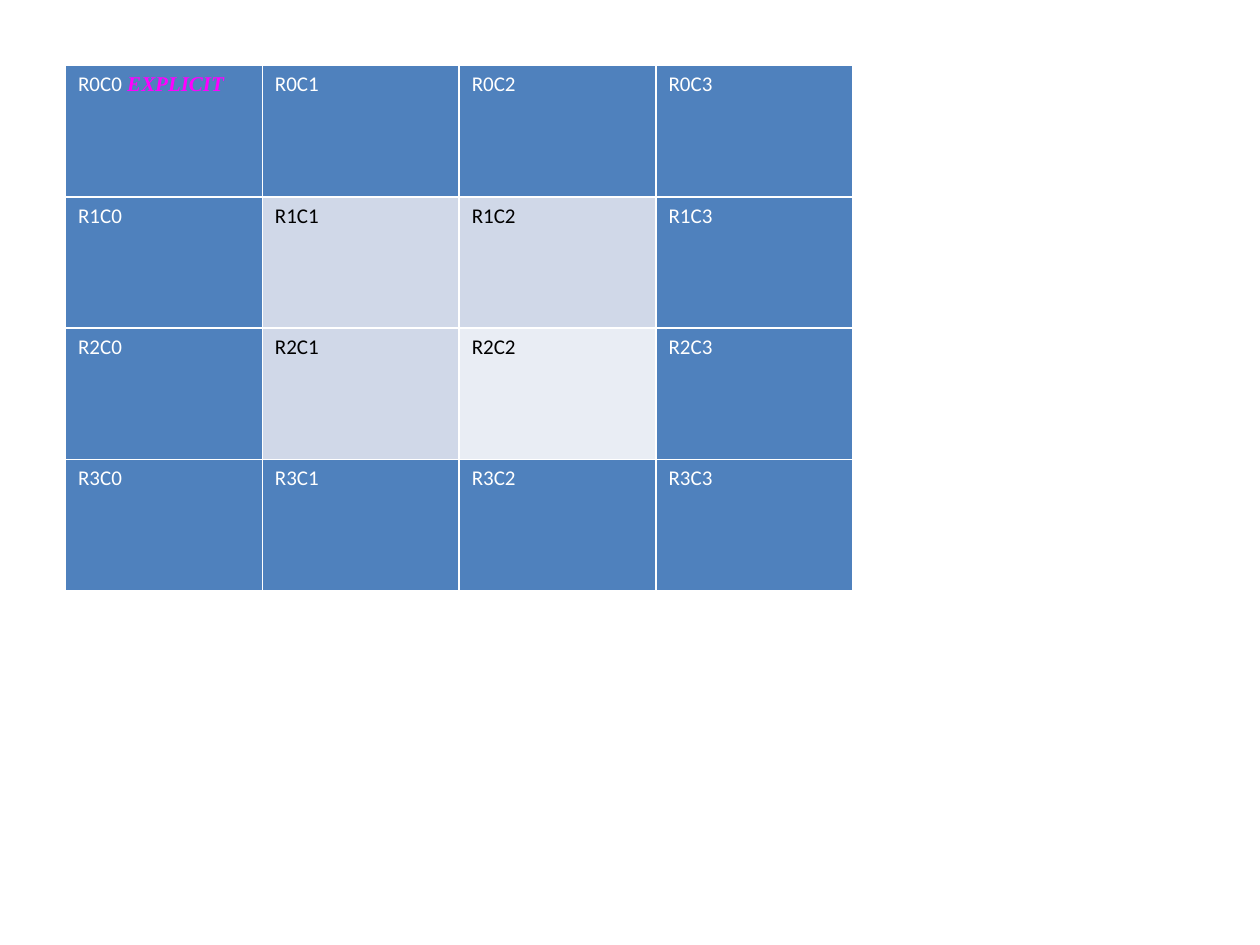
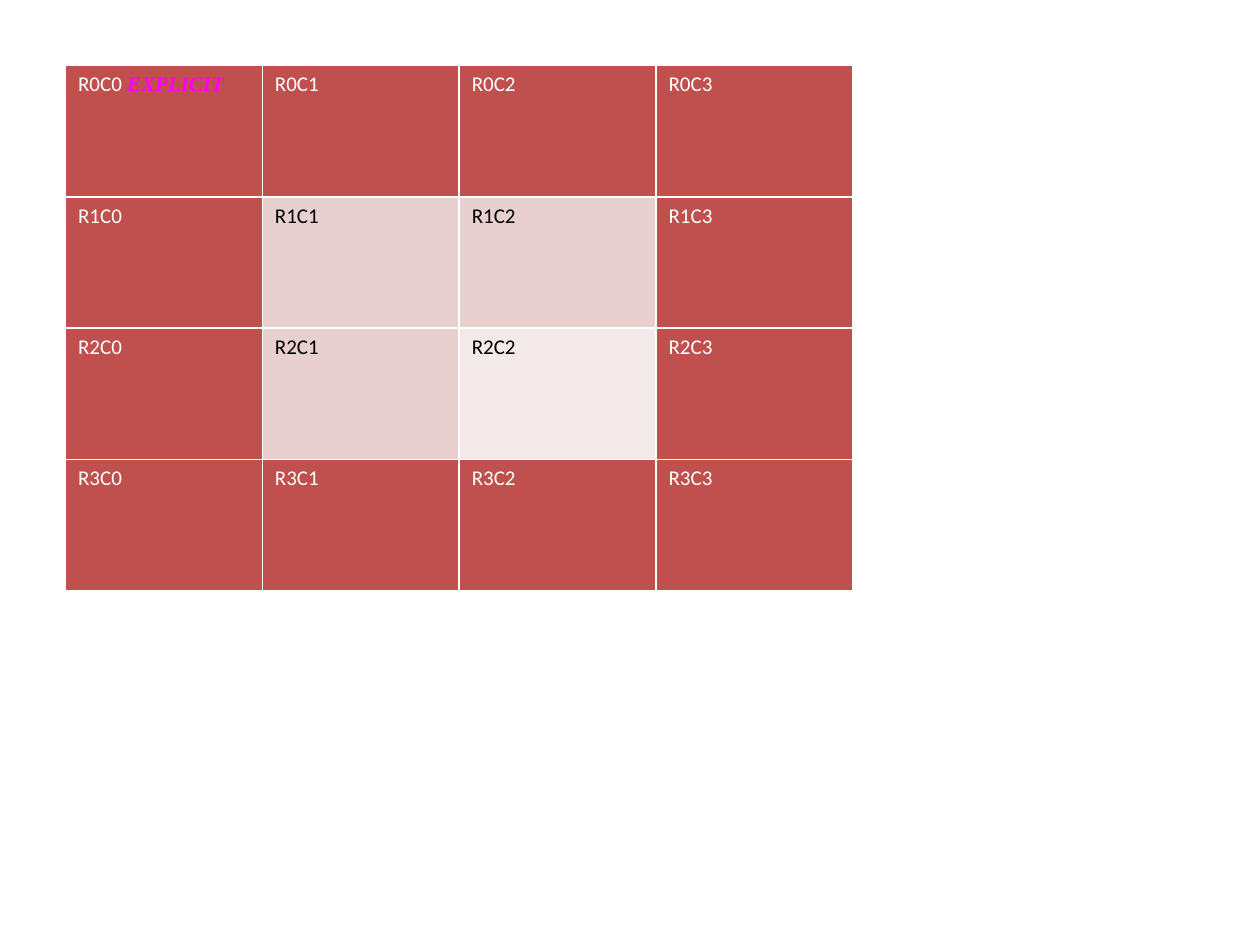
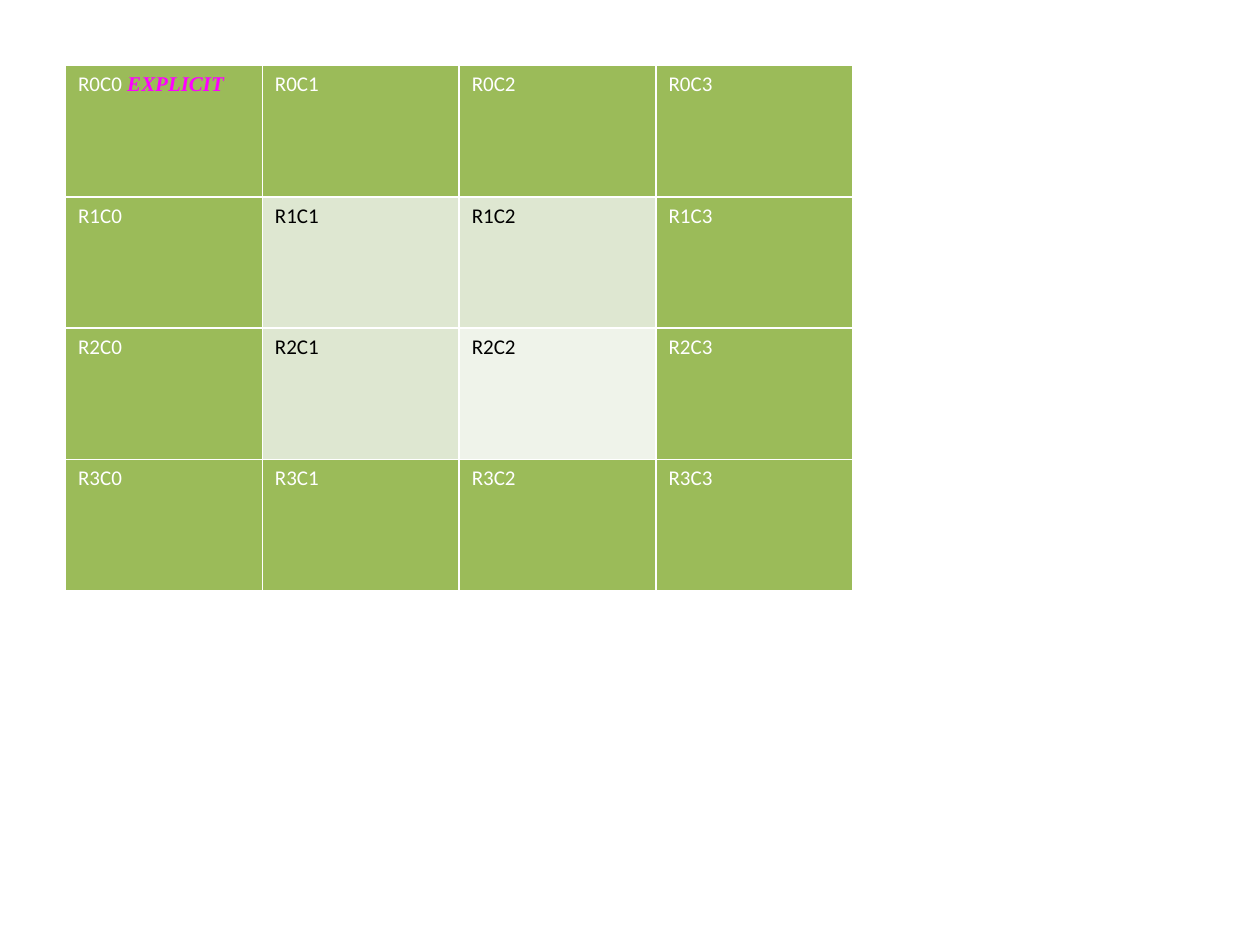
from lxml.etree import SubElement
from pptx import Presentation
from pptx.dml.color import RGBColor
from pptx.oxml.ns import qn
from pptx.util import Inches, Pt

COLORS = {"white": "FFFFFF", "black": "000000", "pink": "FF00FF"}

# One palette per slide: edge cells, banded cells, plain cells
THEMES = [
    {"edge": "4F81BD", "band": "D0D8E8", "plain": "E9EDF4"},
    {"edge": "C0504D", "band": "E8D0D0", "plain": "F4E9E9"},
    {"edge": "9BBB59", "band": "DEE7D1", "plain": "EFF3EA"},
]
COUNT = 4
LAST = COUNT - 1
BOX = (0.52, 0.52, 6.25, 4.17)
FLAGS = {"first_row": True, "last_row": True, "first_col": True,
         "last_col": True, "horz_banding": True, "vert_banding": True}
BASE = {"name": "Calibri", "size": Pt(12), "bold": False, "italic": False}
LOUD = {**BASE, "name": "Times New Roman", "bold": True, "italic": True}


def style(item, values):
    for name, value in values.items():
        setattr(item, name, value)


def add_run(cell, text, look, color):
    run = cell.text_frame.paragraphs[0].add_run()
    run.text = text
    style(run.font, look)
    run.font.color.rgb = RGBColor.from_string(color)


def add_lines(cell):
    props = cell._tc.get_or_add_tcPr()
    for side in "LRTB":
        line = SubElement(props, qn(f"a:ln{side}"), w=str(Pt(1)))
        fill = SubElement(line, qn("a:solidFill"))
        SubElement(fill, qn("a:srgbClr"), val=COLORS["white"])


def cell_kind(row, col):
    if row in (0, LAST) or col in (0, LAST):
        return "edge"
    return "band" if row % 2 or col % 2 else "plain"


def add_grid(slide, box, theme):
    table = slide.shapes.add_table(COUNT, COUNT, *map(Inches, box)).table
    style(table, FLAGS)
    for row in range(COUNT):
        for col in range(COUNT):
            cell = table.cell(row, col)
            kind = cell_kind(row, col)
            # Borders come before the fill in the cell's properties
            add_lines(cell)
            cell.fill.solid()
            cell.fill.fore_color.rgb = RGBColor.from_string(theme[kind])
            ink = COLORS["white" if kind == "edge" else "black"]
            add_run(cell, f"R{row}C{col}", BASE, ink)
    # Direct formatting in the first cell
    add_run(table.cell(0, 0), " EXPLICIT", LOUD, COLORS["pink"])


def main():
    deck = Presentation()
    deck.slide_width, deck.slide_height = Inches(10), Inches(7.5)
    blank = deck.slide_layouts[6]
    for theme in THEMES:
        add_grid(deck.slides.add_slide(blank), BOX, theme)
    deck.save("out.pptx")


if __name__ == "__main__":
    main()
